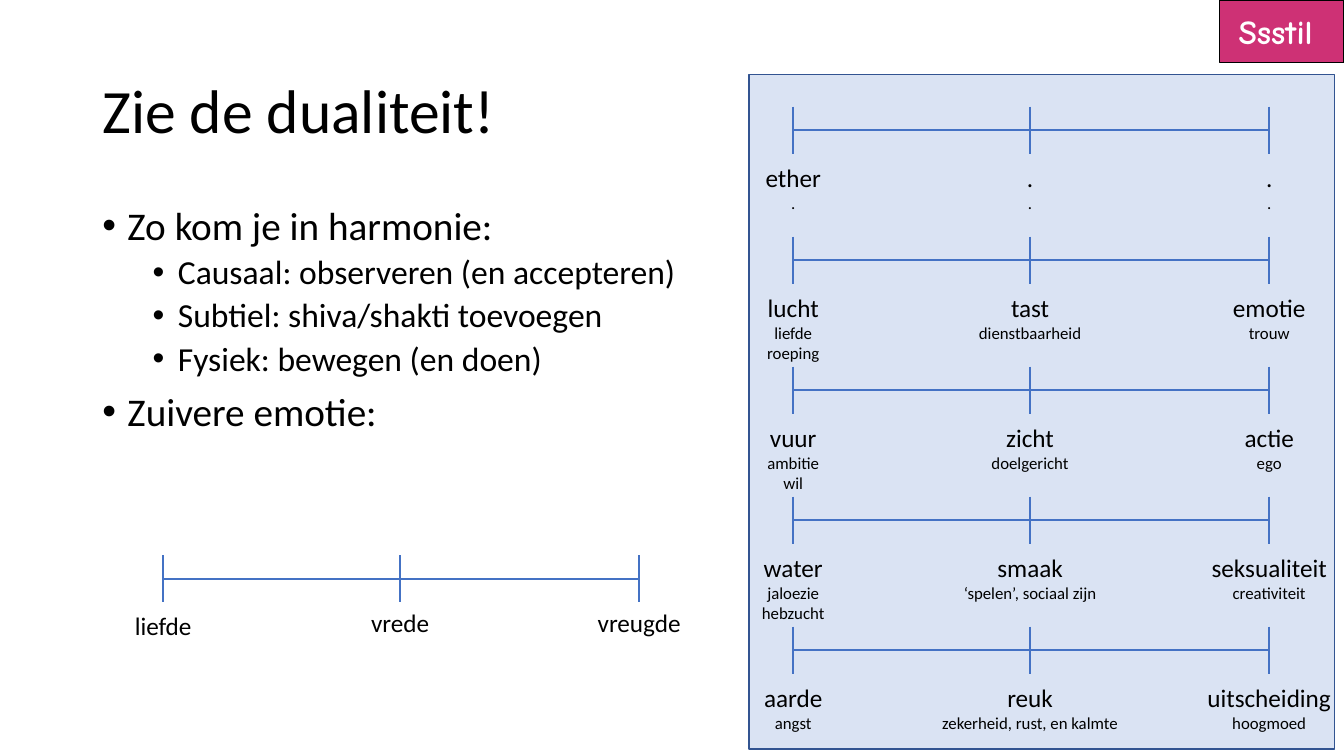
import dataclasses

import lxml.etree
import pptx
import pptx.dml.color
import pptx.enum.shapes
import pptx.enum.text
import pptx.oxml.ns
import pptx.util

Pt = pptx.util.Pt
RGBColor = pptx.dml.color.RGBColor
ALIGN = pptx.enum.text.PP_ALIGN
ANCHOR = pptx.enum.text.MSO_ANCHOR
RECTANGLE = pptx.enum.shapes.MSO_SHAPE.RECTANGLE

BLACK = RGBColor(0x00, 0x00, 0x00)
WHITE = RGBColor(0xFF, 0xFF, 0xFF)
PINK = RGBColor(0xCE, 0x31, 0x75)
PALE_BLUE = RGBColor(0xDA, 0xE3, 0xF3)
DARK_BLUE = RGBColor(0x32, 0x54, 0x91)
BLUE = RGBColor(0x44, 0x72, 0xC4)

SCALE_WIDTH = 340
SCALE_MIDDLE = 169.2
TICK_HALF = 16.8
SCALE_PITCH = 92.9


@dataclasses.dataclass
class Label:
    lines: list
    width: float
    drop: float = 0


ELEMENT_SCALES = [
    [Label(["ether", "."], 54.7), Label([".", "."], 19.4), Label([".", "."], 19.4)],
    [Label(["lucht", "liefde", "roeping"], 51.8),
     Label(["tast", "dienstbaarheid"], 88.6), Label(["emotie", "trouw"], 67)],
    [Label(["vuur", "ambitie", "wil"], 51.8),
     Label(["zicht", "doelgericht"], 69.8), Label(["actie", "ego"], 50.4)],
    [Label(["water", "jaloezie", "hebzucht"], 59.8),
     Label(["smaak", "‘spelen’, sociaal zijn"], 110.2),
     Label(["seksualiteit", "creativiteit"], 97.9)],
    [Label(["aarde", "angst"], 56.9),
     Label(["reuk", "zekerheid, rust, en kalmte"], 141.1),
     Label(["uitscheiding", "hoogmoed"], 103.7)],
]
EMOTION_SCALE = [Label(["liefde"], 55.4, 2), Label(["vrede"], 56.9), Label(["vreugde"], 74.9)]

BULLETS = [
    (0, "Zo kom je in harmonie:"),
    (1, "Causaal: observeren (en accepteren)"),
    (1, "Subtiel: shiva/shakti toevoegen"),
    (1, "Fysiek: bewegen (en doen)"),
    (0, "Zuivere emotie:"),
]


def add_run(paragraph, text, size, color=BLACK, font_name="Calibri", bold=False):
    run = paragraph.add_run()
    run.text = text
    run.font.name = font_name
    run.font.size = Pt(size)
    run.font.bold = bold
    run.font.color.rgb = color


def get_paragraph(text_frame, index):
    return text_frame.add_paragraph() if index else text_frame.paragraphs[0]


def add_rectangle(slide, left, top, width, height, fill, line):
    shape = slide.shapes.add_shape(RECTANGLE, Pt(left), Pt(top), Pt(width), Pt(height))
    shape.shadow.inherit = False
    shape.fill.solid()
    shape.fill.fore_color.rgb = fill
    shape.line.color.rgb = line
    shape.line.width = Pt(1)
    return shape


def add_line(slide, start_x, start_y, end_x, end_y):
    connector = slide.shapes.add_connector(
        pptx.enum.shapes.MSO_CONNECTOR.STRAIGHT,
        Pt(start_x), Pt(start_y), Pt(end_x), Pt(end_y))
    connector.line.color.rgb = BLUE
    connector.line.width = Pt(1.5)
    properties = connector._element.spPr
    lxml.etree.SubElement(properties, pptx.oxml.ns.qn("a:effectLst"))


def add_label(slide, label, center, top):
    """Centre a heading and its smaller lines under a tick."""
    height = 7.2 + 21.9 + 14.6 * (len(label.lines) - 1)
    box = slide.shapes.add_textbox(
        Pt(center - label.width / 2), Pt(top + label.drop), Pt(label.width), Pt(height))
    text_frame = box.text_frame
    text_frame.word_wrap = False
    text_frame.auto_size = pptx.enum.text.MSO_AUTO_SIZE.SHAPE_TO_FIT_TEXT
    for index, line in enumerate(label.lines):
        paragraph = get_paragraph(text_frame, index)
        paragraph.alignment = ALIGN.CENTER
        add_run(paragraph, line, 12 if index else 18)


def add_scale(slide, left, axis, labels, label_offset):
    """Draw a horizontal axis with three labelled ticks."""
    add_line(slide, left, axis, left + SCALE_WIDTH, axis)
    for offset, label in zip((0, SCALE_MIDDLE, SCALE_WIDTH), labels):
        tick = left + offset
        add_line(slide, tick, axis - TICK_HALF, tick, axis + TICK_HALF)
        add_label(slide, label, tick, axis + label_offset)


def add_element_panel(slide, left, top, width, height):
    add_rectangle(slide, left, top, width, height, PALE_BLUE, DARK_BLUE)
    for row, labels in enumerate(ELEMENT_SCALES):
        add_scale(slide, left + 31.6, top + 39.6 + row * SCALE_PITCH, labels, 19.4)


def format_title(slide, left, top, width, height):
    title = slide.shapes.title
    title.left, title.top, title.width, title.height = Pt(left), Pt(top), Pt(width), Pt(height)
    title.text_frame.word_wrap = True
    title.text_frame.vertical_anchor = ANCHOR.MIDDLE
    paragraph = title.text_frame.paragraphs[0]
    paragraph.alignment = ALIGN.LEFT
    paragraph.line_spacing = 0.9
    add_run(paragraph, "Zie de dualiteit!", 44)


def add_bullet(paragraph, margin):
    properties = paragraph._p.get_or_add_pPr()
    properties.set("marL", str(Pt(margin)))
    properties.set("indent", str(-Pt(18)))
    font = lxml.etree.SubElement(properties, pptx.oxml.ns.qn("a:buFont"))
    font.set("typeface", "Arial")
    character = lxml.etree.SubElement(properties, pptx.oxml.ns.qn("a:buChar"))
    character.set("char", "•")


def add_bullet_list(slide, left, top, width, height):
    box = slide.shapes.add_textbox(Pt(left), Pt(top), Pt(width), Pt(height))
    box.text_frame.word_wrap = True
    for index, (level, text) in enumerate(BULLETS):
        paragraph = get_paragraph(box.text_frame, index)
        add_bullet(paragraph, 54 if level else 18)
        paragraph.level = level
        paragraph.line_spacing = 0.9
        if index:
            paragraph.space_before = Pt(5 if level else 10)
        add_run(paragraph, text, 24 if level else 28)


def add_badge(slide, left, top, width, height):
    badge = add_rectangle(slide, left, top, width, height, PINK, BLACK)
    text_frame = badge.text_frame
    text_frame.vertical_anchor = ANCHOR.MIDDLE
    text_frame.margin_right = Pt(16)
    paragraph = text_frame.paragraphs[0]
    paragraph.alignment = ALIGN.CENTER
    add_run(paragraph, "Ssstil", 24, WHITE, "Comic Neue", True)


def main():
    presentation = pptx.Presentation()
    presentation.slide_width = Pt(960)
    presentation.slide_height = Pt(540)
    slide = presentation.slides.add_slide(presentation.slide_layouts[5])
    format_title(slide, 66, 28.75, 828, 104.4)
    add_bullet_list(slide, 66, 143.75, 828, 342.6)
    add_element_panel(slide, 535, 53.3, 418.3, 481.7)
    add_scale(slide, 116.6, 413.3, EMOTION_SCALE, 16.8)
    add_badge(slide, 871.2, 0, 88.8, 44.6)
    presentation.save("out.pptx")


if __name__ == "__main__":
    main()
